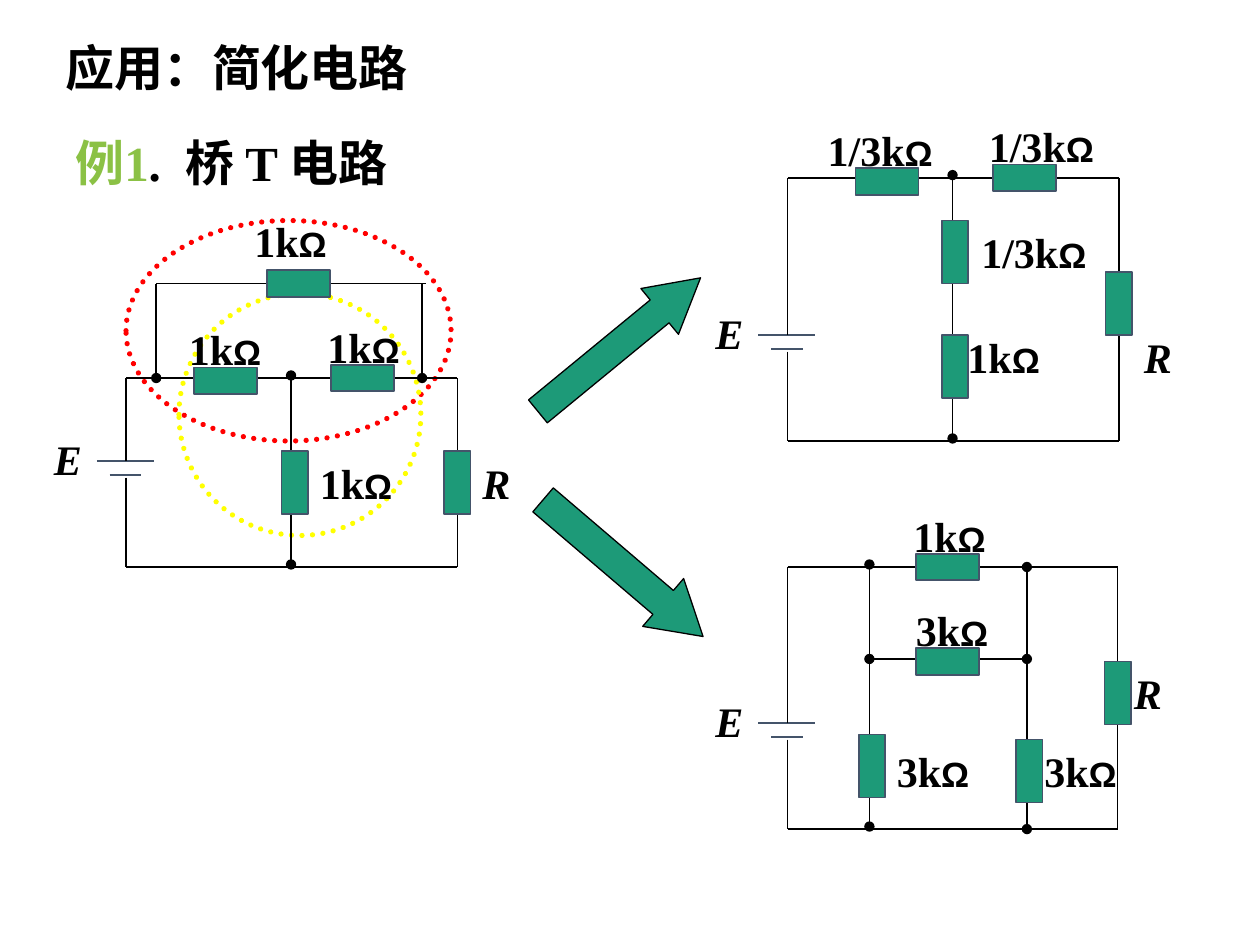
from lxml import etree
from pptx import Presentation
from pptx import util as u
from pptx.dml.color import RGBColor
from pptx.enum import dml, shapes, text
from pptx.oxml.ns import qn

BLACK, SLATE, GREEN = "000000", "44546A", "1D9A78"
SERIF, SANS = "Times New Roman", "Arial"


def rgb(value):
    """Turn a hex string into a colour."""
    return RGBColor.from_string(value)


def add_text(g, x, y, w, h, runs):
    """Place a text box; each run is (text, size, font, colour, italic)."""
    sp = g.shapes.add_textbox(*map(u.Inches, (x, y, w, h)))
    tf = sp.text_frame
    tf.word_wrap = True
    tf.auto_size = text.MSO_AUTO_SIZE.SHAPE_TO_FIT_TEXT
    p = tf.paragraphs[0]
    for words, size, font, colour, italic in runs:
        r = p.add_run()
        r.text = words
        r.font.size, r.font.name = u.Pt(size), font
        r.font.bold = True
        if italic:
            r.font.italic = True
        r.font.color.rgb = rgb(colour)
    return sp


def add_heading(g, x, y, w, *parts):
    """Write a heading from (text, colour) parts."""
    add_text(g, x, y, w, 0.57, [(words, 28, SERIF, colour, False) for words, colour in parts])


def add_symbol(g, x, y, w, letter):
    """Write an italic circuit symbol."""
    add_text(g, x, y, w, 0.5, [(letter, 24, SERIF, BLACK, True)])


def add_ohms(g, x, y, w, value):
    """Write a resistance with its unit."""
    add_text(g, x, y, w, 0.5, [(value + "k", 24, SERIF, BLACK, False),
                               ("Ω", 20, SANS, BLACK, False)])


def add_wire(g, x1, y1, x2, y2, colour=BLACK, ends=()):
    """Draw a straight wire with node dots at the named ends."""
    c = g.shapes.add_connector(shapes.MSO_CONNECTOR.STRAIGHT,
                               *map(u.Inches, (x1, y1, x2, y2)))
    c.line.width = u.Pt(1)
    c.line.color.rgb = rgb(colour)
    ln = c.line._get_or_add_ln()
    for end in ends:
        etree.SubElement(ln, qn(f"a:{end}End"), type="oval", w="med", len="med")
    etree.SubElement(c._element.spPr, qn("a:effectLst"))


def add_node_wire(g, x1, y1, x2, y2):
    """Draw a wire with a node dot at both ends."""
    add_wire(g, x1, y1, x2, y2, ends=("head", "tail"))


def add_figure(g, kind, x, y, w, h, fill, line, width):
    """Draw a preset shape; fill None leaves it open."""
    sp = g.shapes.add_shape(kind, *map(u.Inches, (x, y, w, h)))
    sp.shadow.inherit = False
    if fill:
        sp.fill.solid()
        sp.fill.fore_color.rgb = rgb(fill)
    else:
        sp.fill.background()
    sp.line.color.rgb = rgb(line)
    sp.line.width = u.Pt(width)
    return sp


def add_resistor(g, cx, cy, flat=False):
    """Draw a resistor around its centre, lying down if flat."""
    sp = add_figure(g, shapes.MSO_SHAPE.RECTANGLE, cx - 0.105, cy - 0.25, 0.21, 0.5,
                    GREEN, SLATE, 1)
    if flat:
        sp.rotation = 270


def add_ring(g, x, y, w, h, colour):
    """Draw a dotted ring around part of a circuit."""
    sp = add_figure(g, shapes.MSO_SHAPE.OVAL, x, y, w, h, None, colour, 3)
    sp.line.dash_style = dml.MSO_LINE.ROUND_DOT
    sp.line._get_or_add_ln().set("cap", "rnd")


def add_arrow(g, x, y, w, h, angle, head):
    """Draw a turned block arrow."""
    sp = add_figure(g, shapes.MSO_SHAPE.RIGHT_ARROW, x, y, w, h, GREEN, BLACK, 0.75)
    sp.adjustments[0], sp.adjustments[1] = 0.5, head
    sp.rotation = angle


def add_loop(g, x, y, w, h, load_y, r_x, r_y):
    """Draw the outer loop with source E on the left and load R on the right."""
    right, bottom = x + w, y + h
    plate = bottom - 0.84
    add_wire(g, x - 0.23, plate, x + 0.22, plate, SLATE)
    add_wire(g, x - 0.13, plate + 0.11, x + 0.12, plate + 0.11, SLATE)
    add_wire(g, x, plate + 0.13, x, bottom)
    add_wire(g, x, plate, x, y)
    add_wire(g, x, y, right, y)
    add_wire(g, x, bottom, right, bottom)
    add_wire(g, right, y, right, bottom)
    add_resistor(g, right, y + load_y)
    add_symbol(g, x - 0.67, plate - 0.27, 0.43, "E")
    add_symbol(g, x + r_x, y + r_y, 0.35, "R")


def bridge_circuit(g, x, y, w, h):
    """Draw the bridged T circuit and the two rings that mark its parts."""
    add_ring(g, x, y - 1.25, 2.58, 1.75, "FF0000")
    add_ring(g, x + 0.42, y - 0.67, 1.92, 1.92, "FFFF00")
    add_loop(g, x, y, w, h, 0.83, 2.73, 0.58)
    add_node_wire(g, x + 1.31, y - 0.02, x + 1.31, y + h - 0.02)
    for side in (0.24, 2.35):
        add_wire(g, x + side, y, x + side, y - 0.75, ends=("head",))
    add_wire(g, x + 0.24, y - 0.75, x + 2.38, y - 0.75)
    add_resistor(g, x + 1.34, y + 0.83)
    for cx, cy in ((1.88, 0), (0.79, 0.02), (1.37, -0.75)):
        add_resistor(g, x + cx, y + cy, flat=True)
    for dx, dy in ((0.92, -1.34), (0.4, -0.48), (1.5, -0.5), (1.44, 0.58)):
        add_ohms(g, x + dx, y + dy, 1, "1")


def star_circuit(g, x, y, w, h):
    """Draw the circuit simplified to a star."""
    add_loop(g, x, y, w, h, 1, 2.73, 1.17)
    add_node_wire(g, x + 1.31, y - 0.02, x + 1.31, y + h - 0.02)
    for cy in (0.59, 1.5):
        add_resistor(g, x + 1.33, y + cy)
    for cx, cy in ((0.79, 0.03), (1.88, 0)):
        add_resistor(g, x + cx, y + cy, flat=True)
    for dx, dy, width, value in ((0.22, -0.47, 1.11, "1/3"), (1.5, -0.5, 1.13, "1/3"),
                                 (1.44, 0.34, 1.06, "1/3"), (1.33, 1.17, 0.87, "1")):
        add_ohms(g, x + dx, y + dy, width, value)


def delta_circuit(g, x, y, w, h):
    """Draw the circuit simplified to a delta."""
    add_loop(g, x, y, w, h, 1, 2.65, 0.75)
    add_node_wire(g, x + 0.65, y - 0.02, x + 0.65, y + h - 0.02)
    add_node_wire(g, x + 1.9, y, x + 1.9, y + h)
    add_node_wire(g, x + 0.65, y + 0.73, x + 1.9, y + 0.73)
    for cx, cy in ((0.67, 1.58), (1.92, 1.62)):
        add_resistor(g, x + cx, y + cy)
    for cy in (0, 0.75):
        add_resistor(g, x + 1.27, y + cy, flat=True)
    for dx, dy, width, value in ((0.9, -0.5, 0.83, "1"), (0.92, 0.25, 0.96, "3"),
                                 (0.77, 1.37, 0.96, "3"), (1.94, 1.37, 0.96, "3")):
        add_ohms(g, x + dx, y + dy, width, value)


def main():
    """Build the slide and save it."""
    prs = Presentation()
    prs.slide_width, prs.slide_height = u.Inches(10), u.Inches(7.5)
    s = prs.slides.add_slide(prs.slide_layouts[6])
    add_heading(s, 0.42, 0.25, 4.06, ("应用：简化电路", BLACK))
    bridge, star, delta = (s.shapes.add_group_shape() for _ in range(3))
    add_heading(bridge, 0.5, 1, 3.23, ("例1", "8BC145"), (".  桥 T 电路", BLACK))
    bridge_circuit(bridge, 1, 3, 2.63, 1.5)
    star_circuit(star, 6.25, 1.41, 2.63, 2.09)
    add_arrow(star, 4.08, 2.5, 1.67, 0.47, 320.6, 0.892)
    delta_circuit(delta, 6.25, 4.5, 2.62, 2.08)
    add_arrow(delta, 4.11, 4.26, 1.67, 0.5, 40.5, 0.833)
    prs.save("out.pptx")


if __name__ == "__main__":
    main()
